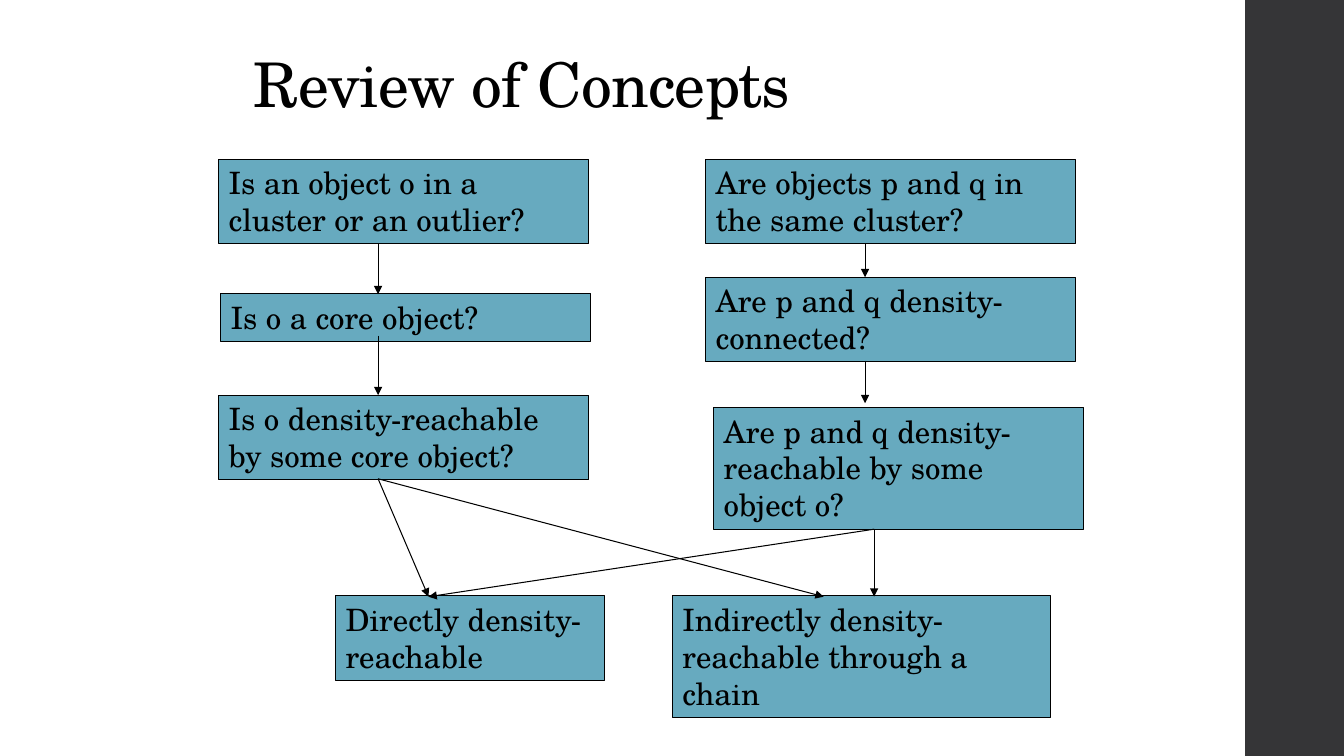
from pptx import Presentation
from pptx.dml.color import RGBColor
from pptx.enum.shapes import MSO_CONNECTOR, MSO_SHAPE
from pptx.enum.text import MSO_ANCHOR, PP_ALIGN
from pptx.oxml.ns import qn
from pptx.util import Inches, Pt
from lxml.etree import SubElement

BLACK = RGBColor(0x00, 0x00, 0x00)
TEAL = RGBColor(0x67, 0xAA, 0xBF)
CHARCOAL = RGBColor(0x35, 0x35, 0x37)
FONT = "TeX Gyre Schola"

BOX_WIDTH = 3.67
LINE_HEIGHTS = {1: 0.48, 2: 0.84, 3: 1.21}
OUTCOME_TOP = 5.91

LEFT_QUESTIONS = [
    ("Is an object o in a cluster or an outlier?", 0, 1.58, 2),
    ("Is o a core object?", 0.02, 2.91, 1),
    ("Is o density-reachable by some core object?", 0, 3.92, 2),
]
RIGHT_QUESTIONS = [
    ("Are objects p and q in the same cluster?", 0, 1.58, 2),
    ("Are p and q density-connected?", 0, 2.75, 2),
    ("Are p and q density-reachable by some object o?", 0.08, 4.04, 3),
]
OUTCOMES = [
    ("Directly density-reachable", 3.33, 2.67, 2),
    ("Indirectly density-reachable through a chain", 6.67, 3.75, 3),
]
OUTCOME_ARROWS = [
    ((3.75, 4.75), (4.25, 5.92)),
    ((3.75, 4.75), (8.17, 5.92)),
    ((8.67, 5.25), (4.25, 5.92)),
    ((8.67, 5.25), (8.67, 5.92)),
]


def write_text(shape, text, size, anchor=MSO_ANCHOR.MIDDLE, line_spacing=1.0, tracking=0):
    frame = shape.text_frame
    frame.word_wrap = True
    frame.vertical_anchor = anchor
    para = frame.paragraphs[0]
    para.alignment = PP_ALIGN.LEFT
    para.line_spacing = line_spacing
    span = para.add_run()
    span.text = text
    span.font.name = FONT
    span.font.size = Pt(size)
    span.font.color.rgb = BLACK
    if tracking:
        span._r.get_or_add_rPr().set("spc", str(int(tracking * 100)))


def add_rectangle(page, left, top, width, height, fill, outlined=False):
    box = page.shapes.add_shape(
        MSO_SHAPE.RECTANGLE, Inches(left), Inches(top), Inches(width), Inches(height)
    )
    box.shadow.inherit = False
    box.fill.solid()
    box.fill.fore_color.rgb = fill
    if outlined:
        box.line.color.rgb = BLACK
        box.line.width = Pt(0.75)
    else:
        box.line.fill.background()
    return box


def add_concept(page, text, left, top, width, lines):
    box = add_rectangle(page, left, top, width, LINE_HEIGHTS[lines], TEAL, outlined=True)
    write_text(box, text, size=22, anchor=MSO_ANCHOR.TOP)


def add_arrow(page, start, end):
    arrow = page.shapes.add_connector(
        MSO_CONNECTOR.STRAIGHT, *(Inches(value) for value in (*start, *end))
    )
    arrow.line.color.rgb = BLACK
    arrow.line.width = Pt(0.75)
    SubElement(arrow.line._get_or_add_ln(), qn("a:tailEnd"), type="triangle")
    SubElement(arrow._element.spPr, qn("a:effectLst"))


def add_title(page, text, left, top, width, height):
    title = page.shapes.add_textbox(Inches(left), Inches(top), Inches(width), Inches(height))
    write_text(title, text, size=44, anchor=MSO_ANCHOR.BOTTOM, line_spacing=0.9, tracking=-0.5)


def add_question_column(page, left, questions, arrow_spans):
    for text, shift, top, lines in questions:
        add_concept(page, text, left + shift, top, BOX_WIDTH, lines)
    arrow_x = left + 1.58
    for start, end in arrow_spans:
        add_arrow(page, (arrow_x, start), (arrow_x, end))


def add_outcomes(page, top):
    for text, left, width, lines in OUTCOMES:
        add_concept(page, text, left, top, width, lines)
    for start, end in OUTCOME_ARROWS:
        add_arrow(page, start, end)


def main():
    deck = Presentation()
    deck.slide_width = Inches(13.33)
    deck.slide_height = Inches(7.5)
    page = deck.slides.add_slide(deck.slide_layouts[6])
    add_rectangle(page, 12.35, 0, 0.98, 7.5, CHARCOAL)
    add_title(page, "Review of Concepts", 2.42, 0, 8.5, 1.25)
    add_question_column(page, 7, RIGHT_QUESTIONS, [(2.42, 2.75), (3.58, 4)])
    add_question_column(page, 2.17, LEFT_QUESTIONS, [(2.42, 2.92), (3.33, 3.92)])
    add_outcomes(page, OUTCOME_TOP)
    deck.save("out.pptx")


if __name__ == "__main__":
    main()
